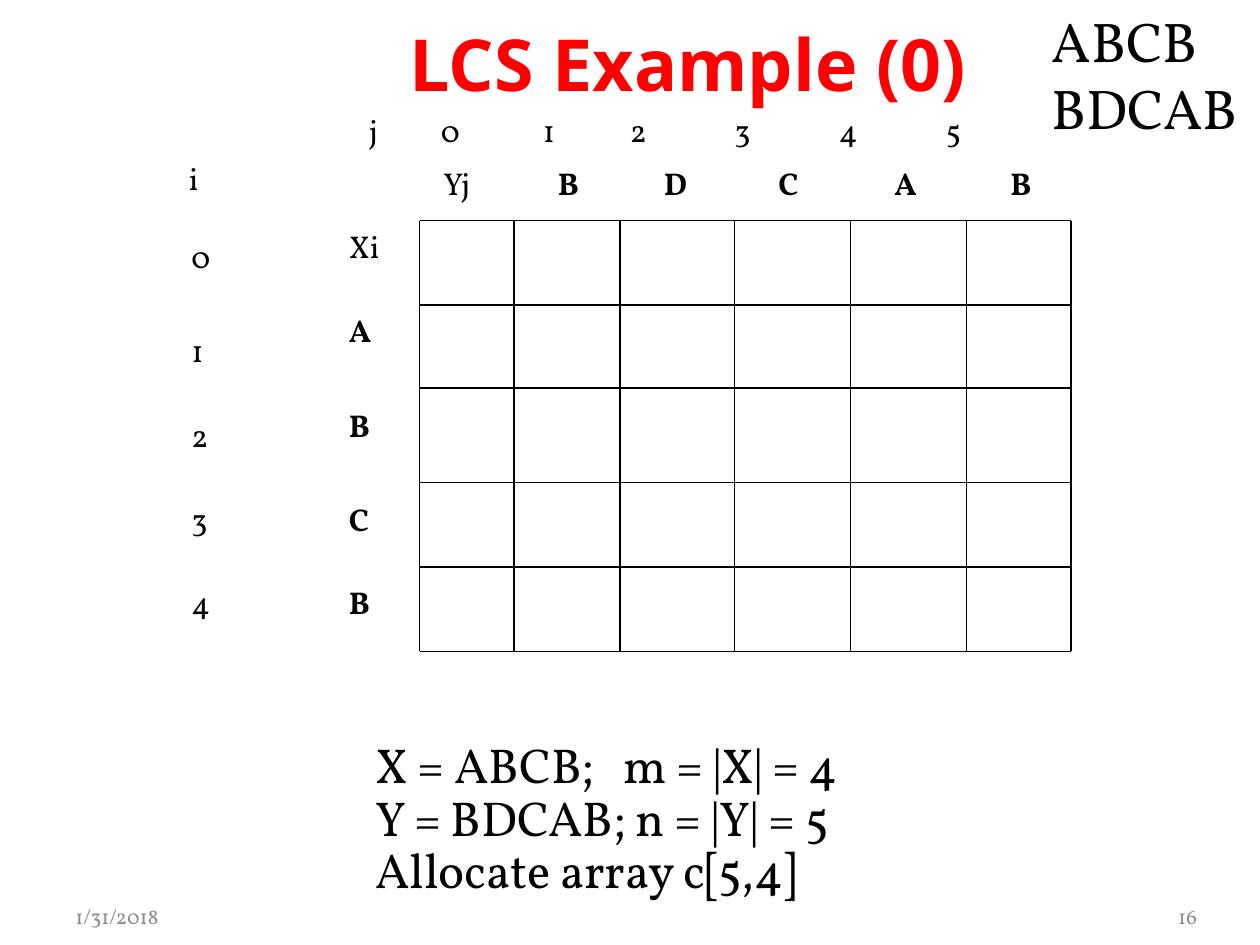
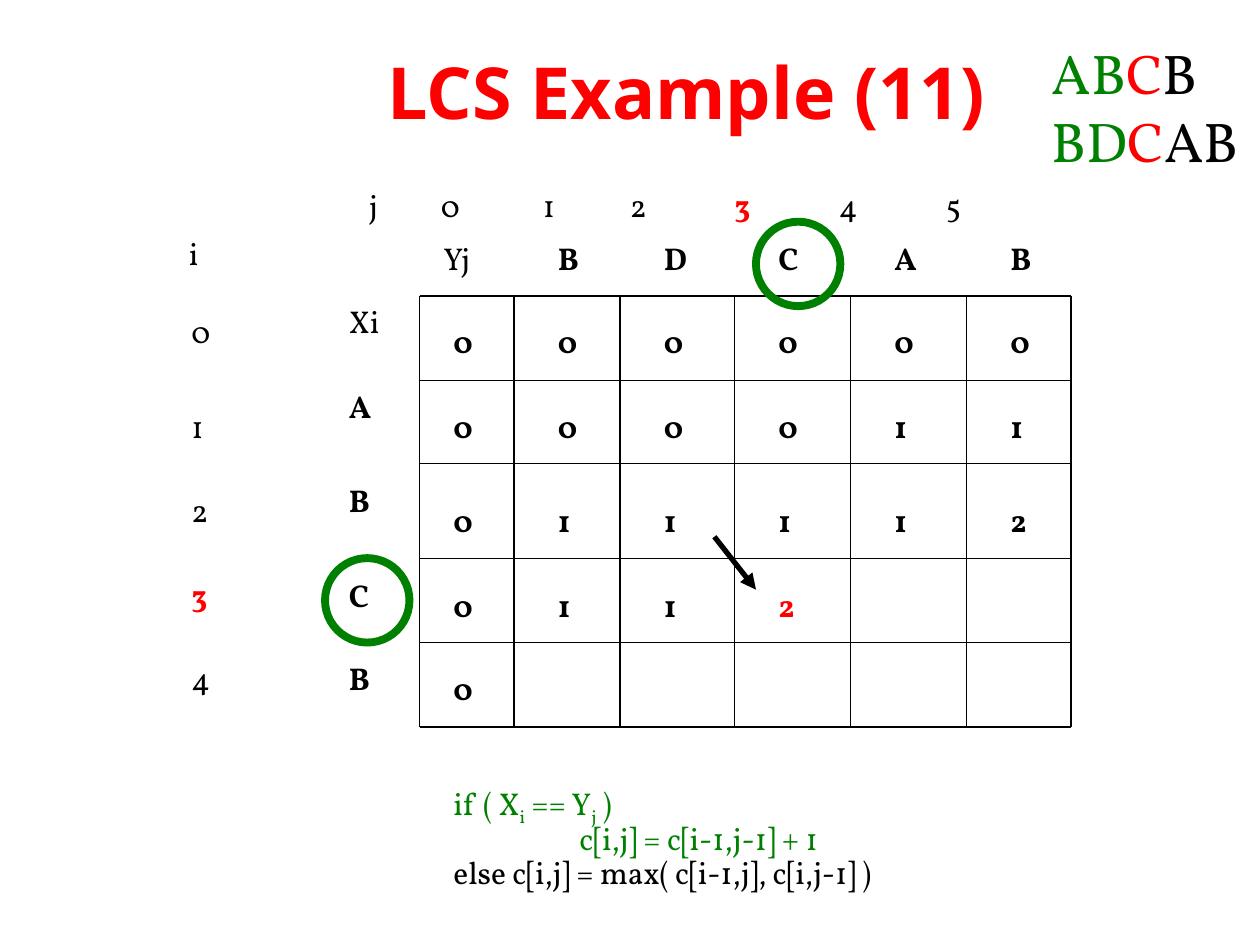
from dataclasses import dataclass

from pptx import Presentation
from pptx.dml.color import RGBColor
from pptx.enum.shapes import MSO_CONNECTOR, MSO_SHAPE
from pptx.enum.text import MSO_ANCHOR as Anchor, PP_ALIGN as Align
from pptx.oxml.ns import qn
from pptx.util import Inches, Pt
from lxml.etree import SubElement

BLACK = RGBColor(0x00, 0x00, 0x00)
RED = RGBColor(0xFF, 0x00, 0x00)
GREEN = RGBColor(0x00, 0x80, 0x00)
GRAY = RGBColor(0x8C, 0x8C, 0x8C)
TITLE_FONT, BODY_FONT = "Noto Sans", "Vollkorn"

X, Y = "ABCB", "BDCAB"
COLUMN_LINES = [3.33, 4.08, 4.92, 5.83, 6.75, 7.67, 8.5]
HEADER_LEFTS = [3.42, 4.33, 5.17, 6.08, 7, 7.92]
VALUE_LEFTS = [3.5] + HEADER_LEFTS[1:]
J_TABS = [0.57, 1.38, 2.07, 2.9, 3.73, 4.58]
# Vertical offsets from the top of the grid
ROW_LINES = [0, 0.67, 1.33, 2.08, 2.75, 3.42]
INDEX_TOPS = [0.08, 0.83, 1.5, 2.17, 2.83]
HEADER_TOPS = [0, 0.67, 1.42, 2.17, 2.83]
VALUE_TOPS = [0.16, 0.83, 1.58, 2.25, 2.91]


@dataclass
class Span:
    text: str
    color: RGBColor = BLACK
    bold: bool = False
    baseline: int = 0


@dataclass
class Line:
    spans: list
    indent: float = 0
    tabs: tuple = ()


class Deck:
    def __init__(self):
        self.presentation = Presentation()
        self.presentation.slide_width = Inches(10)
        self.presentation.slide_height = Inches(7.5)
        self.slide = None

    def new_slide(self):
        layout = self.presentation.slide_layouts[6]
        self.slide = self.presentation.slides.add_slide(layout)

    def text(self, left, top, width, height, lines, size=18, font=BODY_FONT,
             align=Align.LEFT, anchor=Anchor.TOP, spacing=None, side_inset=0.1):
        box = self.slide.shapes.add_textbox(
            Inches(left), Inches(top), Inches(width), Inches(height))
        frame = box.text_frame
        frame.word_wrap = True
        frame.vertical_anchor = anchor
        frame.margin_left = frame.margin_right = Inches(side_inset)
        for number, line in enumerate(lines):
            paragraph = frame.add_paragraph() if number else frame.paragraphs[0]
            paragraph.alignment = align
            if spacing:
                paragraph.line_spacing = spacing
            self.set_indents(paragraph, line)
            for span in line.spans:
                run = paragraph.add_run()
                run.text = span.text
                run.font.name = font
                run.font.size = Pt(size)
                run.font.bold = span.bold
                run.font.color.rgb = span.color
                if span.baseline:
                    run.font._element.set("baseline", str(span.baseline * 1000))

    def set_indents(self, paragraph, line):
        properties = paragraph._p.get_or_add_pPr()
        if line.indent:
            properties.set("marL", str(Inches(line.indent)))
            properties.set("indent", "0")
        if line.tabs:
            stops = SubElement(properties, qn("a:tabLst"))
            for position in line.tabs:
                SubElement(stops, qn("a:tab"), pos=str(Inches(position)), algn="l")

    def label(self, left, top, text, color=BLACK, bold=False, width=0.37):
        self.text(left, top, width, 0.5, [Line([Span(text, color, bold)])])

    def title(self, text, left, top):
        self.text(left, top, 9.08, 1, [Line([Span(text, RED, True)])], size=41,
                  font=TITLE_FONT, align=Align.CENTER, anchor=Anchor.MIDDLE)

    def footer(self, date, number):
        self.text(0.5, 7.02, 2.33, 0.4, [Line([Span(date, GRAY)])], size=12,
                  anchor=Anchor.BOTTOM)
        self.text(8.67, 7.02, 0.83, 0.4, [Line([Span(number, GRAY)])], size=12,
                  align=Align.RIGHT, anchor=Anchor.BOTTOM, side_inset=0)

    def sequences(self, top, lines):
        """Put the two compared strings in the upper right corner."""
        self.text(8.25, top, 1.75, 1.17, lines, size=32)

    def line(self, x1, y1, x2, y2, weight=0.75, arrow=False):
        connector = self.slide.shapes.add_connector(
            MSO_CONNECTOR.STRAIGHT, Inches(x1), Inches(y1), Inches(x2), Inches(y2))
        connector.line.color.rgb = BLACK
        connector.line.width = Pt(weight)
        if arrow:
            SubElement(connector.line._get_or_add_ln(), qn("a:tailEnd"), type="triangle")
        SubElement(connector._element.spPr, qn("a:effectLst"))

    def ring(self, left, top):
        circle = self.slide.shapes.add_shape(
            MSO_SHAPE.OVAL, Inches(left), Inches(top), Inches(0.67), Inches(0.67))
        circle.shadow.inherit = False
        circle.fill.background()
        circle.line.color.rgb = GREEN
        circle.line.width = Pt(4.5)

    def grid(self, top, active_i=None, active_j=None):
        """Draw the empty LCS array with its headers; active indices turn red."""
        for x in COLUMN_LINES:
            self.line(x, top, x, top + ROW_LINES[-1])
        for offset in ROW_LINES:
            self.line(COLUMN_LINES[0], top + offset, COLUMN_LINES[-1], top + offset)

        j_spans = [Span("j")]
        for j in range(len(Y) + 1):
            active = j == active_j
            j_spans += [Span("\t"), Span(str(j), RED if active else BLACK, active)]
        self.text(2.83, top - 0.92, 5.54, 0.4, [Line(j_spans, tabs=J_TABS)])

        self.label(1.4, top - 0.54, "i", width=0.29)
        for i, offset in enumerate(INDEX_TOPS):
            active = i == active_i
            self.label(1.42, top + offset, str(i), RED if active else BLACK, active)

        for i, (name, offset) in enumerate(zip(["Xi", *X], HEADER_TOPS)):
            self.label(2.67, top + offset, name, bold=i > 0, width=0.53)
        for j, (name, left) in enumerate(zip(["Yj", *Y], HEADER_LEFTS)):
            self.label(left, top - 0.5, name, bold=j > 0, width=0.53)

    def values(self, top, rows, active):
        for i, row in enumerate(rows):
            for j, value in enumerate(row):
                color = RED if (i, j) == active else BLACK
                self.label(VALUE_LEFTS[j], top + VALUE_TOPS[i], value, color, True)


def build_empty_array(deck):
    deck.new_slide()
    deck.title("LCS Example (0)", 0.92, 0)
    deck.footer("1/31/2018", "16")
    deck.grid(1.75)
    deck.text(2.88, 5.83, 4.2, 1.36, [
        Line([Span("X = ABCB;\tm = |X| = 4")], tabs=(1.97,)),
        Line([Span("Y = BDCAB; n = |Y| = 5")]),
        Line([Span("Allocate array c[5,4]")]),
    ], size=28, spacing=0.9)
    deck.sequences(0, [Line([Span(X)]), Line([Span(Y)])])


def build_match_step(deck):
    grid_top, i, j = 2.35, 3, 3
    deck.new_slide()
    deck.title("LCS Example (11)", 0.91, 0.22)
    deck.grid(grid_top, i, j)
    deck.values(grid_top, ["000000", "000011", "011112", "0112", "0"], (i, j))
    deck.text(1.5, 6.18, 6.75, 1.18, [
        Line([Span("if ( X", GREEN), Span("i", GREEN, baseline=-25),
              Span(" == Y", GREEN), Span("j", GREEN, baseline=-25),
              Span(" )", GREEN)], indent=2),
        Line([Span("c[i,j] = c[i-1,j-1] + 1", GREEN)], indent=3),
        Line([Span("else c[i,j] = max( c[i-1,j], c[i,j-1] )")], indent=2),
    ], spacing=0.9)
    deck.line(5.67, 4.26, 6, 4.68, weight=3, arrow=True)
    deck.ring(2.58, 4.43)
    deck.ring(6, 1.76)
    deck.sequences(0.26, [
        Line([Span(word[:k - 1], GREEN), Span(word[k - 1], RED), Span(word[k:])])
        for word, k in ((X, i), (Y, j))])


def main():
    deck = Deck()
    build_empty_array(deck)
    build_match_step(deck)
    deck.presentation.save("out.pptx")


if __name__ == "__main__":
    main()
